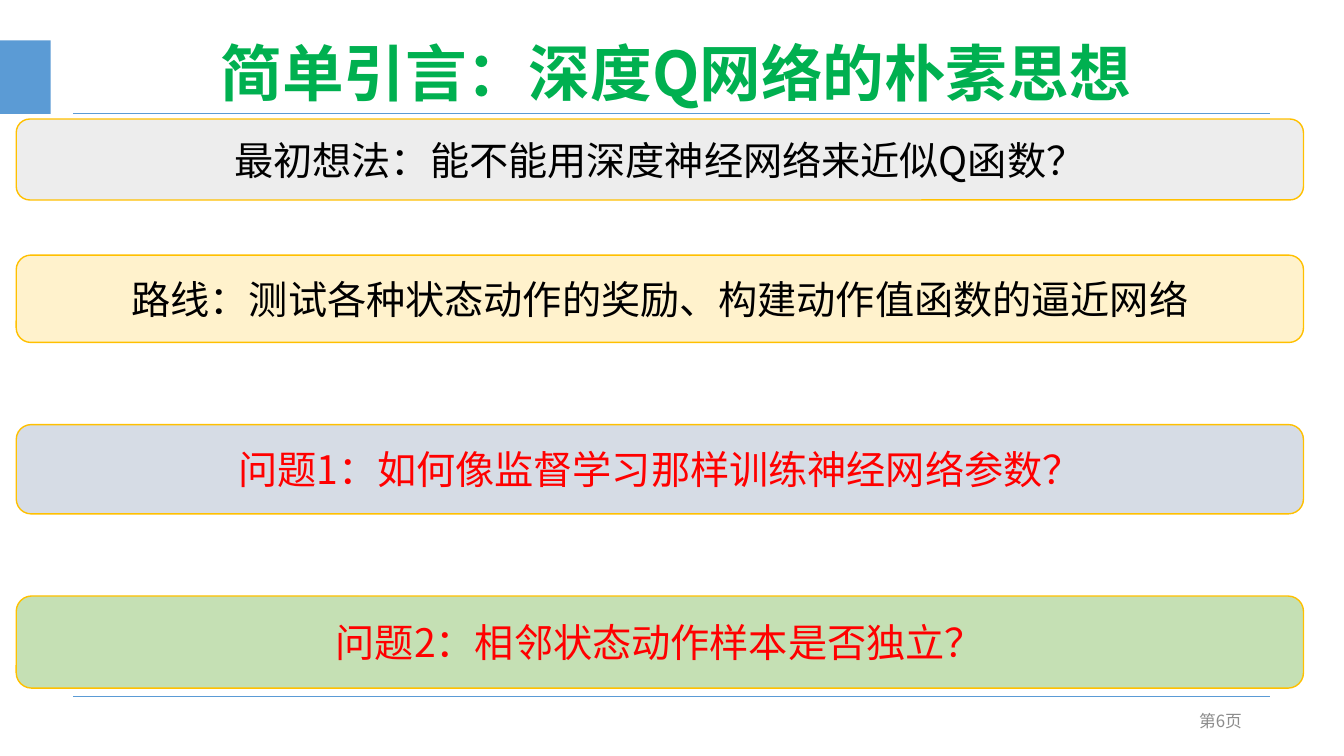
"""Build the slide introducing the plain idea behind deep Q networks."""
from lxml import etree
from pptx import Presentation
from pptx import util as u
from pptx.dml.color import RGBColor
from pptx.enum import shapes, text
from pptx.oxml.ns import qn

FONT = "Noto Sans CJK SC"
BLUE, GOLD, GREEN = "5B9BD5", "FFC000", "00B050"
BLACK, RED, GREY = "000000", "FF0000", "8C8C8C"


def rgb(value):
    return RGBColor.from_string(value)


class Deck:
    def __init__(self, prs):
        self.slide = prs.slides.add_slide(prs.slide_layouts[5])

    def set_text(self, sp, words, size, color, bold=False, align="CENTER", side=0.25):
        tf = sp.text_frame
        frame = {
            "word_wrap": True,
            "auto_size": text.MSO_AUTO_SIZE.NONE,
            "vertical_anchor": text.MSO_ANCHOR.MIDDLE,
            "margin_left": u.Cm(side),
            "margin_right": u.Cm(side),
        }
        for name, value in frame.items():
            setattr(tf, name, value)
        p = tf.paragraphs[0]
        p.alignment = getattr(text.PP_ALIGN, align)
        r = p.add_run()
        r.text = words
        for name, value in {"name": FONT, "size": u.Pt(size), "bold": bold}.items():
            setattr(r.font, name, value)
        r.font.color.rgb = rgb(color)
        etree.SubElement(r.font._element, qn("a:ea"), typeface=FONT)
        return p

    def title(self, words, box):
        sp = self.slide.shapes.title
        for name, value in zip(("left", "top", "width", "height"), box):
            setattr(sp, name, u.Cm(value))
        self.set_text(sp, words, 44, GREEN, bold=True).line_spacing = 0.9

    def shape(self, kind, box, fill, line=None):
        sp = self.slide.shapes.add_shape(kind, *map(u.Cm, box))
        sp.shadow.inherit = False
        sp.fill.solid()
        sp.fill.fore_color.rgb = rgb(fill)
        if line:
            sp.line.color.rgb = rgb(line)
            sp.line.width = u.Pt(1)
        else:
            sp.line.fill.background()
        return sp

    def rule(self, y):
        ends = map(u.Cm, (1.84, y, 32, y))
        ln = self.slide.shapes.add_connector(shapes.MSO_CONNECTOR.STRAIGHT, *ends)
        ln.line.color.rgb = rgb(BLUE)
        ln.line.width = u.Pt(0.5)
        etree.SubElement(ln._element.spPr, qn("a:effectLst"))

    def banner(self, top, height, fill, words, color, side):
        box = (0.41, top, 32.44, height)
        sp = self.shape(shapes.MSO_SHAPE.ROUNDED_RECTANGLE, box, fill, GOLD)
        self.set_text(sp, words, 28, color, side=side)

    def label(self, words, box):
        sp = self.slide.shapes.add_textbox(*map(u.Cm, box))
        self.set_text(sp, words, 12, GREY, align="RIGHT")


BANNERS = [
    (3, 2.04, "EDEDED", "最初想法：能不能用深度神经网络来近似Q函数？", BLACK, 0.05),
    (6.43, 2.2, "FFF2CC", "路线：测试各种状态动作的奖励、构建动作值函数的逼近网络", BLACK, 0.25),
    (10.7, 2.25, "D6DCE5", "问题1：如何像监督学习那样训练神经网络参数？", RED, 0.25),
    (15.02, 2.32, "C5E0B4", "问题2：相邻状态动作样本是否独立？", RED, 0),
]


def main():
    prs = Presentation()
    prs.slide_width, prs.slide_height = u.Cm(33.87), u.Cm(19.05)
    deck = Deck(prs)
    deck.shape(shapes.MSO_SHAPE.RECTANGLE, (0, 1.02, 1.28, 1.85), BLUE)
    for y in (2.86, 17.55):
        deck.rule(y)
    deck.title("简单引言：深度Q网络的朴素思想", (0.89, 0.1, 32.28, 3.68))
    deck.label("第6页", (23.65, 17.65, 7.9, 1.02))
    for banner in BANNERS:
        deck.banner(*banner)
    prs.save("out.pptx")


if __name__ == "__main__":
    main()
